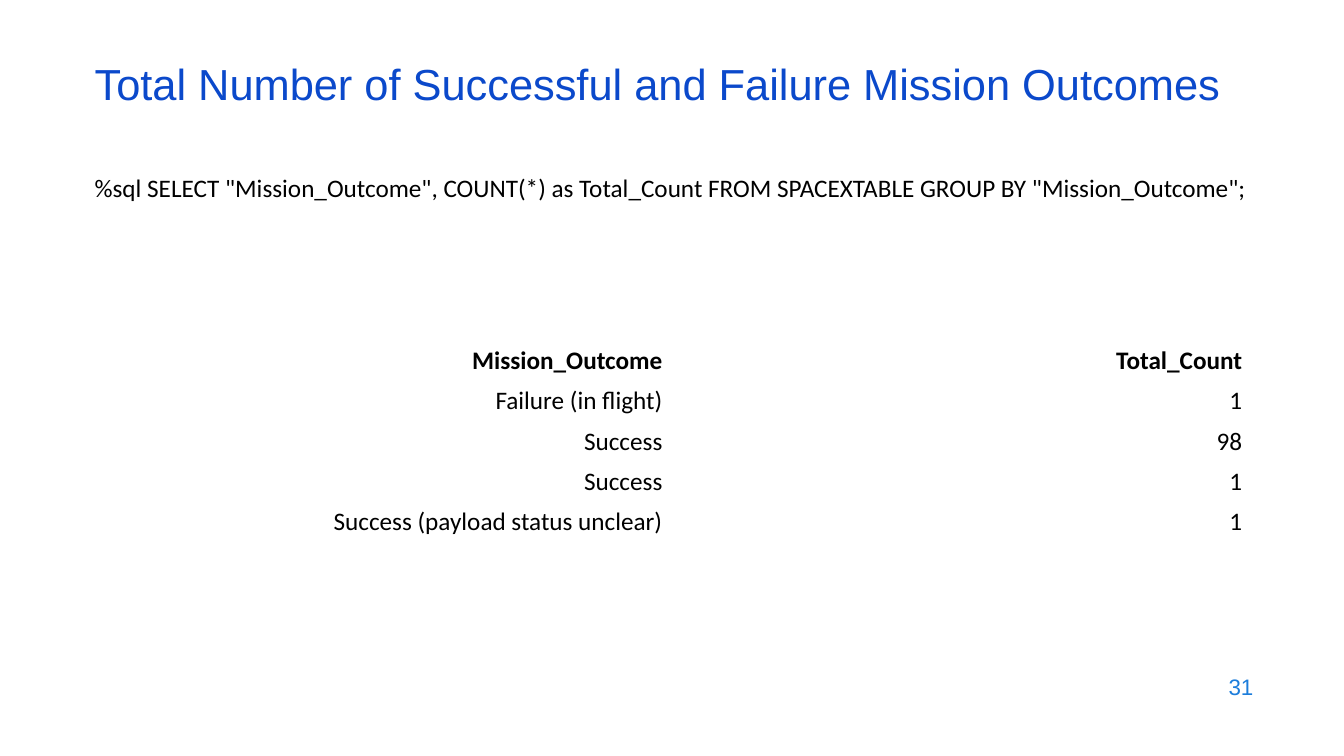
from pptx import Presentation
from pptx.dml.color import RGBColor as RGB
from pptx.enum.text import MSO_ANCHOR as Anchor, PP_ALIGN as Align
from pptx.util import Inches, Pt

COLORS = {"title": "0B49CB", "page": "1C7DDB", "text": "000000", "cell": "FFFFFF"}
QUERY = ('%sql SELECT "Mission_Outcome", COUNT(*) as Total_Count '
         'FROM SPACEXTABLE GROUP BY "Mission_Outcome";')
ROWS = [
    ("Mission_Outcome", "Total_Count"),
    ("Failure (in flight)", "1"),
    ("Success", "98"),
    ("Success", "1"),
    ("Success (payload status unclear)", "1"),
]


def style(para, size, face, color, align=Align.LEFT, bold=False):
    para.alignment = align
    for run in para.runs:
        font = run.font
        font.size, font.name, font.bold = Pt(size), face, bold
        font.color.rgb = RGB.from_string(COLORS[color])


def add_text(slide, box, text, size, face, color, align=Align.LEFT, anchor=Anchor.MIDDLE):
    frame = slide.shapes.add_textbox(*map(Inches, box)).text_frame
    frame.word_wrap = True
    frame.vertical_anchor = anchor
    frame.text = text
    para = frame.paragraphs[0]
    style(para, size, face, color, align)
    return para


def add_title(slide, box):
    para = add_text(slide, box, "Total Number of Successful and Failure Mission Outcomes",
                    31, "Arial", "title")
    para.line_spacing = 0.7


def add_query(slide, box):
    add_text(slide, box, QUERY, 18, "Calibri", "text", anchor=Anchor.TOP)


def add_counts(slide, box):
    table = slide.shapes.add_table(len(ROWS), len(ROWS[0]), *map(Inches, box)).table
    table.horz_banding = False
    for r, row in enumerate(ROWS):
        for c, text in enumerate(row):
            cell = table.cell(r, c)
            cell.fill.solid()
            cell.fill.fore_color.rgb = RGB.from_string(COLORS["cell"])
            cell.vertical_anchor = Anchor.MIDDLE
            cell.margin_top = cell.margin_bottom = Inches(0.04)
            cell.text_frame.text = text
            style(cell.text_frame.paragraphs[0], 18, "Calibri", "text",
                  Align.RIGHT, bold=r == 0)


def add_page(slide, box):
    add_text(slide, box, "31", 16, "Arial", "page", Align.RIGHT)


def main():
    deck = Presentation()
    deck.slide_width, deck.slide_height = Inches(13.33), Inches(7.5)
    slide = deck.slides.add_slide(deck.slide_layouts[6])

    # Heading and query
    add_title(slide, (0.84, 0.59, 11.5, 0.6))
    add_query(slide, (0.84, 1.66, 11.69, 0.4))

    # Query result
    add_counts(slide, (0.92, 3.38, 11.5, 2))

    # Page number
    add_page(slide, (9.53, 6.59, 3, 0.44))

    deck.save("out.pptx")


if __name__ == "__main__":
    main()
